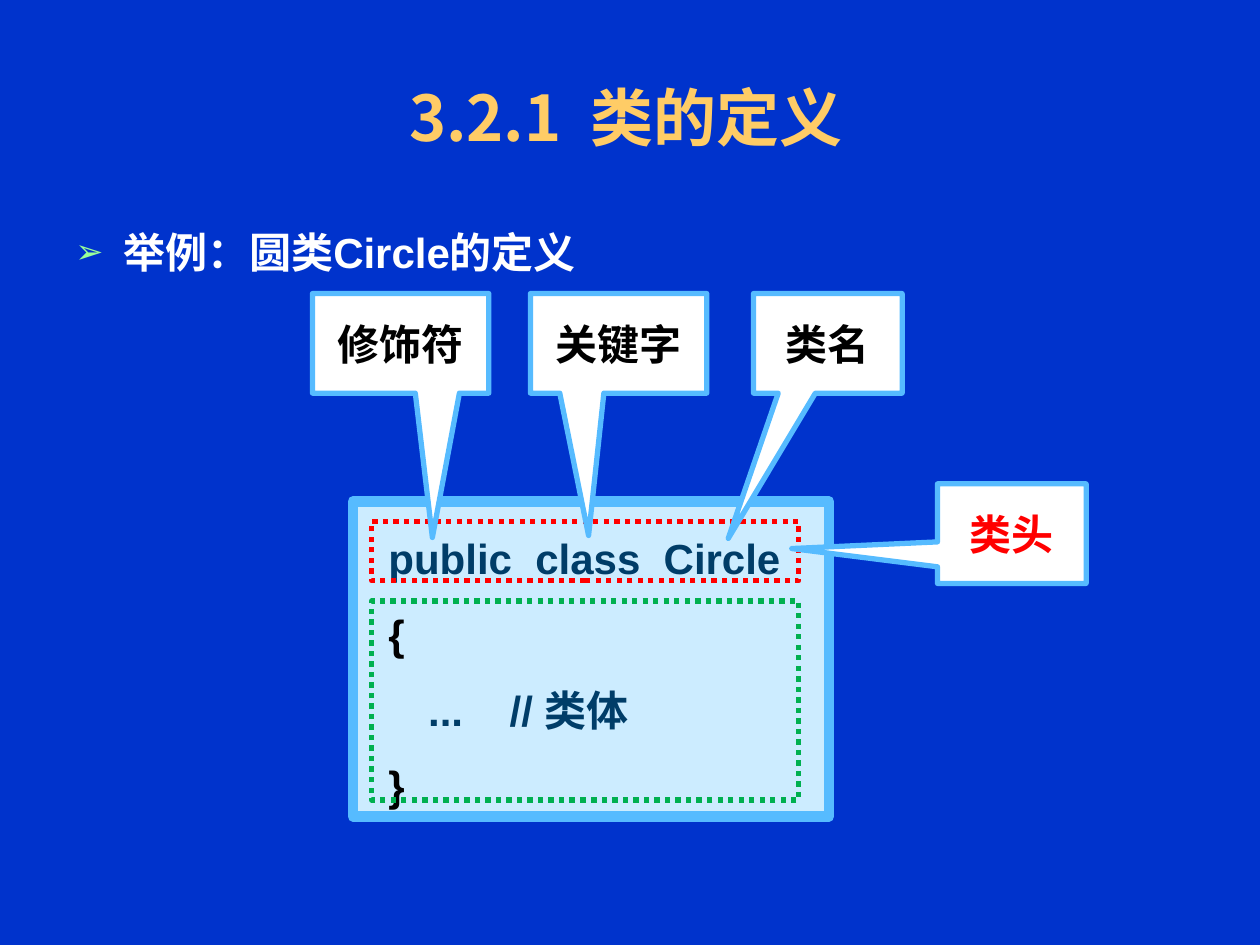
"""Build a slide that shows the parts of a class definition."""
import pptx
import pptx.dml.color
import pptx.enum.dml
import pptx.enum.shapes
import pptx.enum.text
import pptx.oxml
import pptx.oxml.ns
import pptx.util

Inches, Pt = pptx.util.Inches, pptx.util.Pt
KIND = pptx.enum.shapes.MSO_SHAPE
ALIGN = pptx.enum.text.PP_ALIGN
ANCHOR = pptx.enum.text.MSO_ANCHOR
CJK = "Noto Sans CJK SC"


def paint(item, color):
    if hasattr(item, "solid"):
        item.solid()
        item = item.fore_color
    else:
        item = item.color
    item.rgb = pptx.dml.color.RGBColor.from_string(color)


def style(para, size, color, face="Arial"):
    for run in para.runs:
        run.font.size = Pt(size)
        run.font.bold = True
        run.font.name = face
        paint(run.font, color)
        east = pptx.oxml.parse_xml(
            f'<a:ea {pptx.oxml.ns.nsdecls("a")} typeface="{CJK}"/>')
        run.font._element.find(pptx.oxml.ns.qn("a:latin")).addnext(east)


deck = pptx.Presentation()
deck.slide_width, deck.slide_height = Inches(10), Inches(7.5)
slide = deck.slides.add_slide(deck.slide_layouts[5])
paint(slide.background.fill, "0033CC")

title = slide.shapes.title
title.left, title.top = Inches(0.43), Inches(0.3)
title.width, title.height = Inches(9.07), Inches(1.25)
frame = title.text_frame
frame.text = "3.2.1  类的定义"
frame.auto_size = pptx.enum.text.MSO_AUTO_SIZE.NONE
frame.vertical_anchor = ANCHOR.MIDDLE
frame.paragraphs[0].alignment = ALIGN.CENTER
style(frame.paragraphs[0], 36, "FFCC66", CJK)

intro = slide.shapes.add_textbox(Inches(0.5), Inches(1.75), Inches(9.15), Inches(0.98))
intro.text_frame.word_wrap = True
intro.text_frame.text = "举例：圆类Circle的定义"
para = intro.text_frame.paragraphs[0]
props = para._p.get_or_add_pPr()
props.set("marL", str(Inches(0.38)))
props.set("indent", str(Inches(-0.38)))
for tag in ('buClr><a:srgbClr val="99FF99"/></a:buClr>', 'buSzPct val="80000"/>',
            'buFont typeface="Arial"/>', 'buChar char="➢"/>'):
    head, rest = tag[:-1].split(">", 1) if "</" in tag else (tag[:-2], None)
    names = pptx.oxml.ns.nsdecls("a")
    mark = f"<a:{head} {names}>{rest}>" if rest else f"<a:{head} {names}/>"
    props.append(pptx.oxml.parse_xml(mark))
style(para, 24, "FFFFFF")

code = slide.shapes.add_shape(
    KIND.RECTANGLE, Inches(2.8), Inches(3.98), Inches(3.78), Inches(2.5))
code.shadow.inherit = False
paint(code.fill, "CCECFF")
paint(code.line, "56BBFF")
code.line.width = Pt(6)
frame = code.text_frame
frame.vertical_anchor = ANCHOR.TOP
lines = [("  public  class  Circle", "003D68"), ("  {", "000000"),
         ("\t...    // 类体", "003D68"), ("  }", "000000")]
frame.text = "\n".join(text for text, color in lines)
for para, (text, color) in zip(frame.paragraphs, lines):
    para.alignment = ALIGN.LEFT
    para.line_spacing = 1.5
    style(para, 24, color)

for top, height, color in [(4.14, 0.47, "FF0000"), (4.77, 1.58, "00B050")]:
    zone = slide.shapes.add_shape(
        KIND.RECTANGLE, Inches(2.95), Inches(top), Inches(3.39), Inches(height))
    zone.shadow.inherit = False
    zone.fill.background()
    paint(zone.line, color)
    zone.line.width = Pt(3)
    zone.line.dash_style = pptx.enum.dml.MSO_LINE.ROUND_DOT

calls = [("类头", 7.44, 3.84, 1.18, -1.48, 0.15, "FF0000"),
         ("关键字", 4.21, 2.33, 1.4, -0.17, 1.93, "000000"),
         ("类名", 5.98, 2.33, 1.18, -0.67, 1.96, "000000"),
         ("修饰符", 2.48, 2.33, 1.4, 0.18, 1.95, "000000")]
for text, left, top, width, tip_x, tip_y, color in calls:
    call = slide.shapes.add_shape(
        KIND.RECTANGULAR_CALLOUT, Inches(left), Inches(top), Inches(width), Inches(0.79))
    call.adjustments[0], call.adjustments[1] = tip_x, tip_y
    call.shadow.inherit = False
    paint(call.fill, "FFFFFF")
    paint(call.line, "56BBFF")
    call.line.width = Pt(3)
    call.text_frame.text = text
    call.text_frame.vertical_anchor = ANCHOR.MIDDLE
    call.text_frame.paragraphs[0].alignment = ALIGN.CENTER
    style(call.text_frame.paragraphs[0], 24, color)

deck.save("out.pptx")
